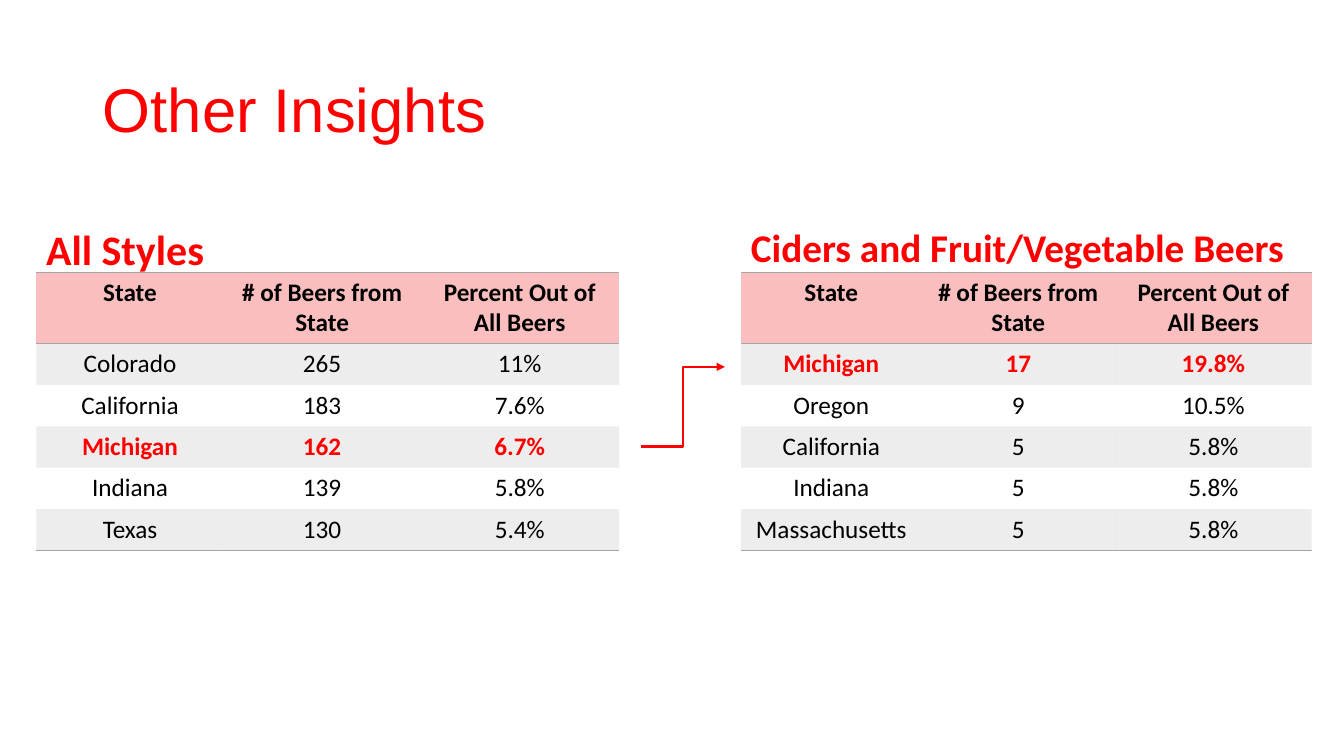
from dataclasses import dataclass

from lxml.etree import SubElement
from pptx import Presentation
from pptx.dml.color import RGBColor
from pptx.enum.shapes import MSO_CONNECTOR as Connector
from pptx.enum.text import MSO_ANCHOR as Anchor, MSO_AUTO_SIZE as AutoSize, PP_ALIGN as Align
from pptx.oxml.ns import qn
from pptx.util import Inches, Pt


@dataclass(frozen=True)
class Theme:
    red: str = "FF0000"
    black: str = "000000"
    header: str = "FABEBE"
    gray: str = "A5A5A5"
    band_alpha: int = 20
    title_font: str = "Arial"
    body_font: str = "Calibri"
    title_size: int = 44
    cell_size: int = 18
    rule_width: float = 1
    arrow_width: float = 1.5
    plain_table: str = "{2D5ABB26-0587-4C30-8999-92F81FD0307C}"


class SlideBuilder:
    def __init__(self, slide, theme):
        self.slide = slide
        self.theme = theme

    def add_text(self, paragraph, text, size, color, bold=False, font=None):
        run = paragraph.add_run()
        run.text = text
        run.font.name = font or self.theme.body_font
        run.font.size = Pt(size)
        run.font.bold = bold
        run.font.color.rgb = RGBColor.from_string(color)

    def title(self, text, left, top, width, height):
        shape = self.slide.shapes.title
        shape.left, shape.top = Inches(left), Inches(top)
        shape.width, shape.height = Inches(width), Inches(height)
        frame = shape.text_frame
        frame.vertical_anchor = Anchor.MIDDLE
        frame.auto_size = AutoSize.NONE
        paragraph = frame.paragraphs[0]
        paragraph.alignment = Align.LEFT
        paragraph.line_spacing = 0.9
        self.add_text(paragraph, text, self.theme.title_size, self.theme.red,
                      font=self.theme.title_font)

    def heading(self, text, left, top, width, height, size):
        shape = self.slide.shapes.add_textbox(
            Inches(left), Inches(top), Inches(width), Inches(height))
        frame = shape.text_frame
        frame.word_wrap = True
        frame.auto_size = AutoSize.SHAPE_TO_FIT_TEXT
        self.add_text(frame.paragraphs[0], text, size, self.theme.red, bold=True)

    def table(self, rows, left, top, widths, header_height, row_height, highlight):
        height = header_height + row_height * (len(rows) - 1)
        graphic = self.slide.shapes.add_table(
            len(rows), len(widths), Inches(left), Inches(top),
            Inches(sum(widths)), Inches(height))
        table = graphic.table
        graphic._element.find(".//" + qn("a:tableStyleId")).text = self.theme.plain_table
        for column, width in zip(table.columns, widths):
            column.width = Inches(width)
        for index, values in enumerate(rows):
            table.rows[index].height = Inches(row_height if index else header_height)
            marked = values[0] == highlight
            for position, value in enumerate(values):
                cell = table.cell(index, position)
                paragraph = cell.text_frame.paragraphs[0]
                paragraph.alignment = Align.CENTER
                self.add_text(paragraph, value, self.theme.cell_size,
                              self.theme.red if marked else self.theme.black,
                              bold=marked or index == 0)
                # Rules go around the header and under the last row
                if index == 0:
                    self.border(cell, "a:lnT")
                if index in (0, len(rows) - 1):
                    self.border(cell, "a:lnB")
                self.fill_cell(cell, index)

    def border(self, cell, side):
        line = SubElement(cell._tc.get_or_add_tcPr(), qn(side),
                          w=str(Pt(self.theme.rule_width)))
        fill = SubElement(line, qn("a:solidFill"))
        SubElement(fill, qn("a:srgbClr"), val=self.theme.gray)

    def fill_cell(self, cell, index):
        if index and index % 2 == 0:
            cell.fill.background()
            return
        cell.fill.solid()
        color = self.theme.gray if index else self.theme.header
        cell.fill.fore_color.rgb = RGBColor.from_string(color)
        if index:
            node = cell._tc.tcPr.find(qn("a:solidFill") + "/" + qn("a:srgbClr"))
            SubElement(node, qn("a:alpha"), val=str(self.theme.band_alpha * 1000))

    def elbow_arrow(self, start, end):
        arrow = self.slide.shapes.add_connector(
            Connector.ELBOW, *(Inches(value) for value in start + end))
        arrow.line.color.rgb = RGBColor.from_string(self.theme.red)
        arrow.line.width = Pt(self.theme.arrow_width)
        properties = arrow._element.spPr
        SubElement(properties.find(qn("a:ln")), qn("a:tailEnd"), type="triangle")
        SubElement(properties, qn("a:effectLst"))


HEADER = ("State", "# of Beers from State", "Percent Out of All Beers")
ALL_STYLES = (
    HEADER,
    ("Colorado", "265", "11%"),
    ("California", "183", "7.6%"),
    ("Michigan", "162", "6.7%"),
    ("Indiana", "139", "5.8%"),
    ("Texas", "130", "5.4%"),
)
CIDERS_AND_FRUIT = (
    HEADER,
    ("Michigan", "17", "19.8%"),
    ("Oregon", "9", "10.5%"),
    ("California", "5", "5.8%"),
    ("Indiana", "5", "5.8%"),
    ("Massachusetts", "5", "5.8%"),
)


def main():
    presentation = Presentation()
    presentation.slide_width, presentation.slide_height = Inches(13.33), Inches(7.5)
    slide = presentation.slides.add_slide(presentation.slide_layouts[5])
    builder = SlideBuilder(slide, Theme())

    # Title
    builder.title("Other Insights", 0.92, 0.4, 11.5, 1.43)

    # State rankings
    left_edge, right_edge = 0.36, 7.35
    for rows, left, widths in (
        (ALL_STYLES, left_edge, (1.86, 1.95, 1.97)),
        (CIDERS_AND_FRUIT, right_edge, (1.79, 1.92, 1.95)),
    ):
        builder.table(rows, left, 2.7, widths, 0.71, 0.41, "Michigan")

    # Table headings
    builder.heading("All Styles", left_edge, 2.17, 2.8, 0.61, 30)
    builder.heading("Ciders and Fruit/Vegetable Beers", right_edge, 2.17, 5.65, 0.57, 28)

    # Arrow between the Michigan rows
    builder.elbow_arrow((6.36, 4.43), (7.19, 3.64))

    presentation.save("out.pptx")


if __name__ == "__main__":
    main()
